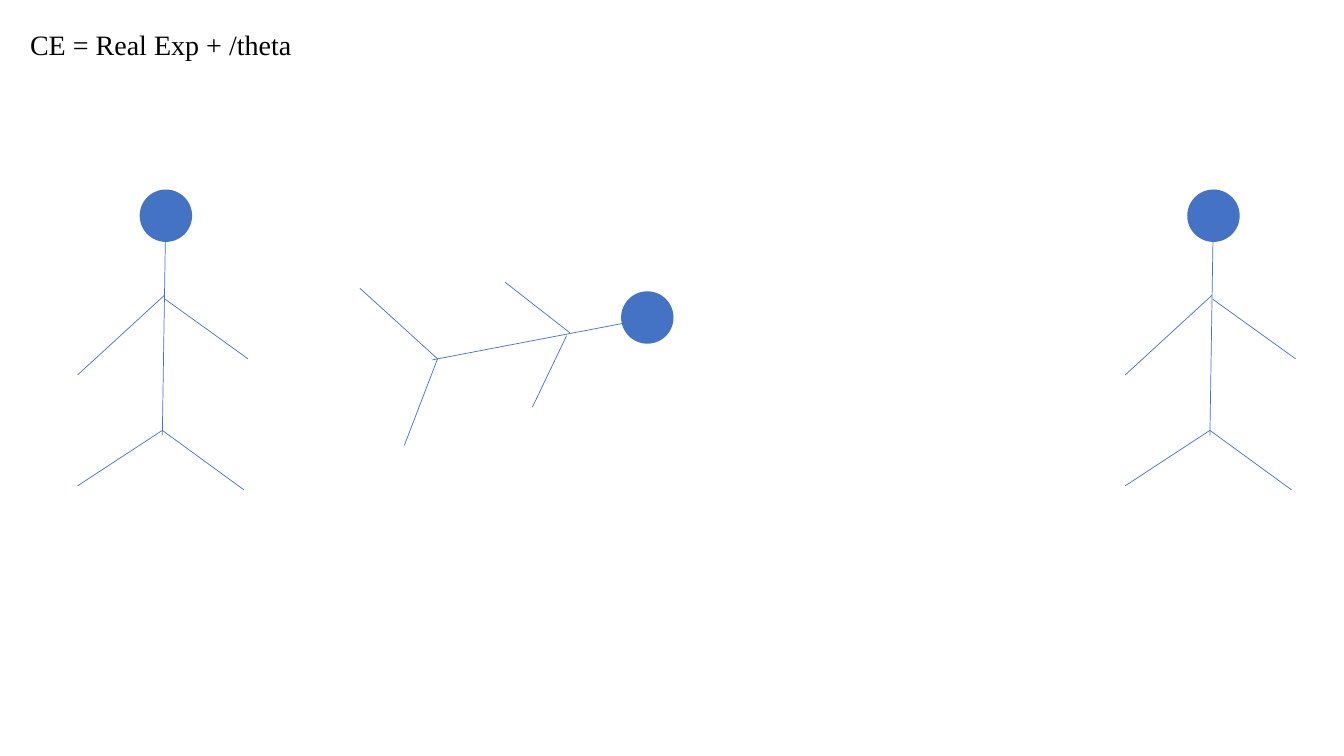
from lxml import etree
from pptx import Presentation
from pptx import util as u
from pptx.dml.color import RGBColor
from pptx.enum import shapes, text
from pptx.oxml.ns import qn

COLORS = {"figure": "4472C4", "text": "000000"}
HEAD_SIZE = 0.52

STANDING_HEAD = (1.385, 1.88)
STANDING_LIMBS = [
    ((1.64, 2.4), (1.61, 4.32)),
    ((1.63, 2.93), (0.77, 3.72)),
    ((1.64, 2.97), (2.46, 3.56)),
    ((1.61, 4.27), (2.42, 4.86)),
    ((1.61, 4.27), (0.77, 4.82)),
]
LYING_HEAD = (6.16, 2.89)
LYING_LIMBS = [
    ((6.17, 3.21), (4.29, 3.57)),
    ((5.65, 3.3), (5.01, 2.8)),
    ((5.62, 3.33), (5.28, 4.04)),
    ((4.34, 3.56), (4.01, 4.42)),
    ((4.34, 3.56), (3.57, 2.86)),
]


class FigureSlide:
    font = "Times New Roman"
    font_size = u.Pt(20)
    line_width = u.Pt(0.5)

    def __init__(self, slide):
        self.slide = slide

    def color(self, name):
        return RGBColor.from_string(COLORS[name])

    def label(self, wording, left, top, width, height):
        box = self.slide.shapes.add_textbox(*map(u.Inches, (left, top, width, height)))
        frame = box.text_frame
        frame.word_wrap = True
        frame.auto_size = text.MSO_AUTO_SIZE.SHAPE_TO_FIT_TEXT
        frame.text = wording
        font = frame.paragraphs[0].runs[0].font
        font.name = self.font
        font.size = self.font_size
        font.color.rgb = self.color("text")

    def head(self, container, left, top, rotation):
        size = u.Inches(HEAD_SIZE)
        shape = container.add_shape(
            shapes.MSO_SHAPE.OVAL, u.Inches(left), u.Inches(top), size, size
        )
        shape.rotation = rotation
        shape.shadow.inherit = False
        shape.fill.solid()
        shape.fill.fore_color.rgb = self.color("figure")
        shape.line.fill.background()

    def limb(self, container, start, end):
        connector = container.add_connector(
            shapes.MSO_CONNECTOR.STRAIGHT, *map(u.Inches, (*start, *end))
        )
        connector.line.color.rgb = self.color("figure")
        connector.line.width = self.line_width
        etree.SubElement(connector._element.spPr, qn("a:effectLst"))

    def figure(self, container, head, limbs, shift=0, rotation=0):
        self.head(container, head[0] + shift, head[1], rotation)
        for (x1, y1), (x2, y2) in limbs:
            self.limb(container, (x1 + shift, y1), (x2 + shift, y2))


def main():
    presentation = Presentation()
    presentation.slide_width = u.Inches(13.33)
    presentation.slide_height = u.Inches(7.5)
    slide = presentation.slides.add_slide(presentation.slide_layouts[6])
    page = FigureSlide(slide)
    page.label("CE = Real Exp + /theta", 0.2, 0.22, 7.16, 0.44)
    for shift in (0, 10.39):
        page.figure(slide.shapes, STANDING_HEAD, STANDING_LIMBS, shift)
    group = slide.shapes.add_group_shape()
    page.figure(group.shapes, LYING_HEAD, LYING_LIMBS, rotation=77.8)
    presentation.save("out.pptx")


if __name__ == "__main__":
    main()
